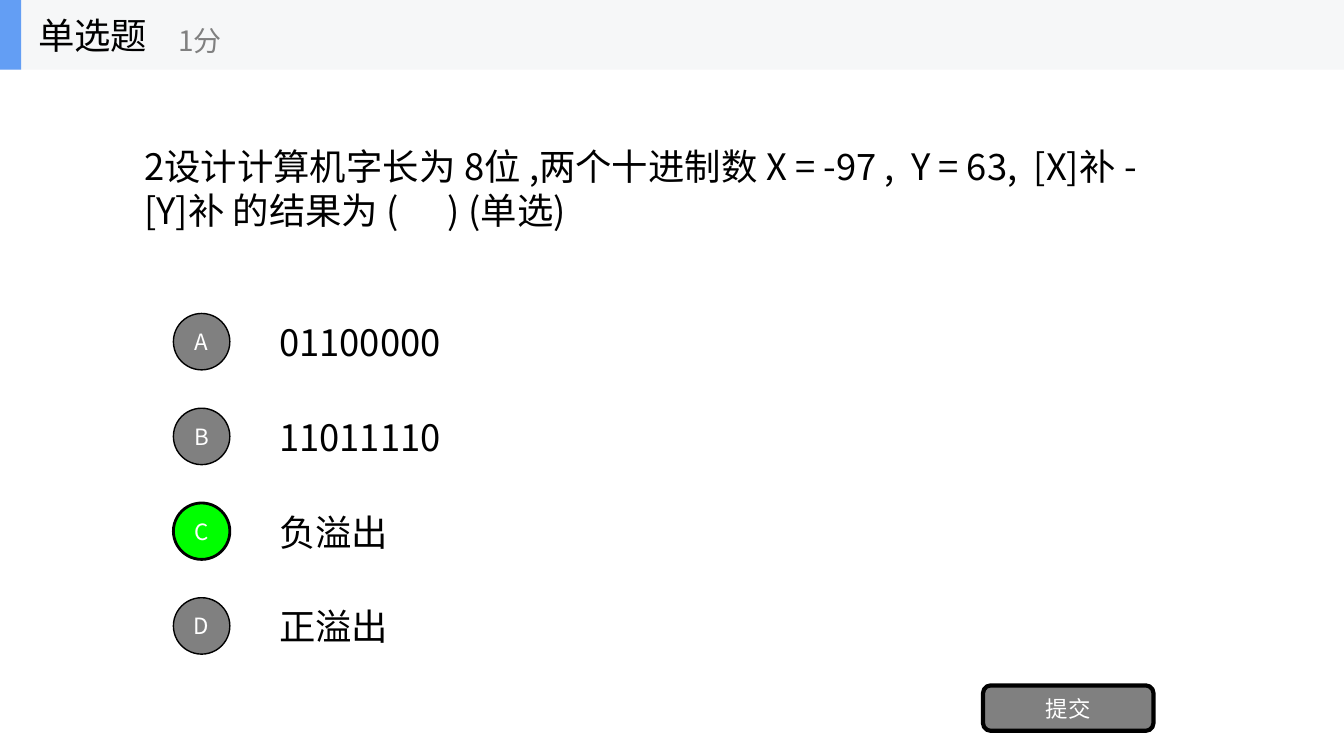
"""Build a single-choice quiz slide with four lettered options."""
from dataclasses import dataclass

from pptx import Presentation
from pptx.dml.color import RGBColor
from pptx.enum.shapes import MSO_SHAPE
from pptx.enum.text import MSO_ANCHOR, PP_ALIGN
from pptx.oxml.ns import qn
from pptx.util import Inches, Pt
from lxml.etree import SubElement


@dataclass(frozen=True)
class Theme:
    """Colours, font and type sizes of the slide."""
    font: str = "Noto Sans CJK SC"
    black: str = "000000"
    white: str = "FFFFFF"
    gray: str = "808080"
    correct: str = "00FF00"
    band: str = "F6F7F8"
    accent: str = "639EF4"
    body_size: int = 26
    score_size: int = 20
    label_size: int = 16


THEME = Theme()
QUESTION = ("2设计计算机字长为 8位 ,两个十进制数 X = -97 ,  Y = 63,  "
            "[X]补 - [Y]补 的结果为 (      ) (单选)")
OPTIONS = [("A", "01100000"), ("B", "11011110"), ("C", "负溢出"), ("D", "正溢出")]
CORRECT_LETTER = "C"
FIRST_OPTION_TOP = 3.11
OPTION_PITCH = 0.94


def write_text(shape, text, size, color, alignment):
    """Put one formatted paragraph in a shape, centred vertically."""
    text_frame = shape.text_frame
    text_frame.text = text
    text_frame.word_wrap = True
    text_frame.vertical_anchor = MSO_ANCHOR.MIDDLE
    paragraph = text_frame.paragraphs[0]
    paragraph.alignment = alignment
    for run in paragraph.runs:
        run.font.size = Pt(size)
        run.font.color.rgb = RGBColor.from_string(color)
        run.font.name = THEME.font
        SubElement(run.font._element, qn("a:ea"), typeface=THEME.font)


def add_text(slide, box, text, size=THEME.body_size, color=THEME.black):
    """Add a left-aligned text box."""
    text_box = slide.shapes.add_textbox(*map(Inches, box))
    write_text(text_box, text, size, color, PP_ALIGN.LEFT)


def add_block(slide, kind, box, fill, line_width=0):
    """Add a filled shape, outlined in black when a line width is given."""
    shape = slide.shapes.add_shape(kind, *map(Inches, box))
    shape.shadow.inherit = False
    shape.fill.solid()
    shape.fill.fore_color.rgb = RGBColor.from_string(fill)
    if line_width:
        shape.line.color.rgb = RGBColor.from_string(THEME.black)
        shape.line.width = Pt(line_width)
    else:
        shape.line.fill.background()
    return shape


def add_button(slide, kind, box, label, fill, line_width):
    """Add an outlined shape with a centred white label."""
    button = add_block(slide, kind, box, fill, line_width)
    write_text(button, label, THEME.label_size, THEME.white, PP_ALIGN.CENTER)
    return button


def add_option(slide, top, letter, answer):
    """Add an answer with its lettered circle."""
    is_correct = letter == CORRECT_LETTER
    fill, line_width = (THEME.correct, 2) if is_correct else (THEME.gray, 1)
    add_text(slide, (2.67, top + 0.02, 2, 0.53), answer)
    circle = add_button(slide, MSO_SHAPE.OVAL, (1.72, top, 0.56, 0.56),
                        letter, fill, line_width)
    circle.text_frame.margin_left = circle.text_frame.margin_right = 0


def add_header(slide):
    """Add the title band with the question type and score."""
    add_block(slide, MSO_SHAPE.RECTANGLE, (0, 0, 13.33, 0.69), THEME.band)
    add_block(slide, MSO_SHAPE.RECTANGLE, (0, 0, 0.21, 0.69), THEME.accent)
    add_text(slide, (0.28, 0, 2.08, 0.69), "单选题")
    add_text(slide, (1.67, 0.12, 2.5, 0.56), "1分", THEME.score_size, THEME.gray)


def main():
    """Build and save the slide."""
    presentation = Presentation()
    presentation.slide_width = Inches(13.33)
    presentation.slide_height = Inches(7.5)
    slide = presentation.slides.add_slide(presentation.slide_layouts[6])
    add_text(slide, (1.33, 1.38, 10.55, 0.97), QUESTION)
    for index, (letter, answer) in enumerate(OPTIONS):
        add_option(slide, FIRST_OPTION_TOP + index * OPTION_PITCH, letter, answer)
    add_button(slide, MSO_SHAPE.ROUNDED_RECTANGLE, (9.75, 6.8, 1.69, 0.45),
               "提交", THEME.gray, 3)
    add_header(slide)
    presentation.save("out.pptx")


if __name__ == "__main__":
    main()
